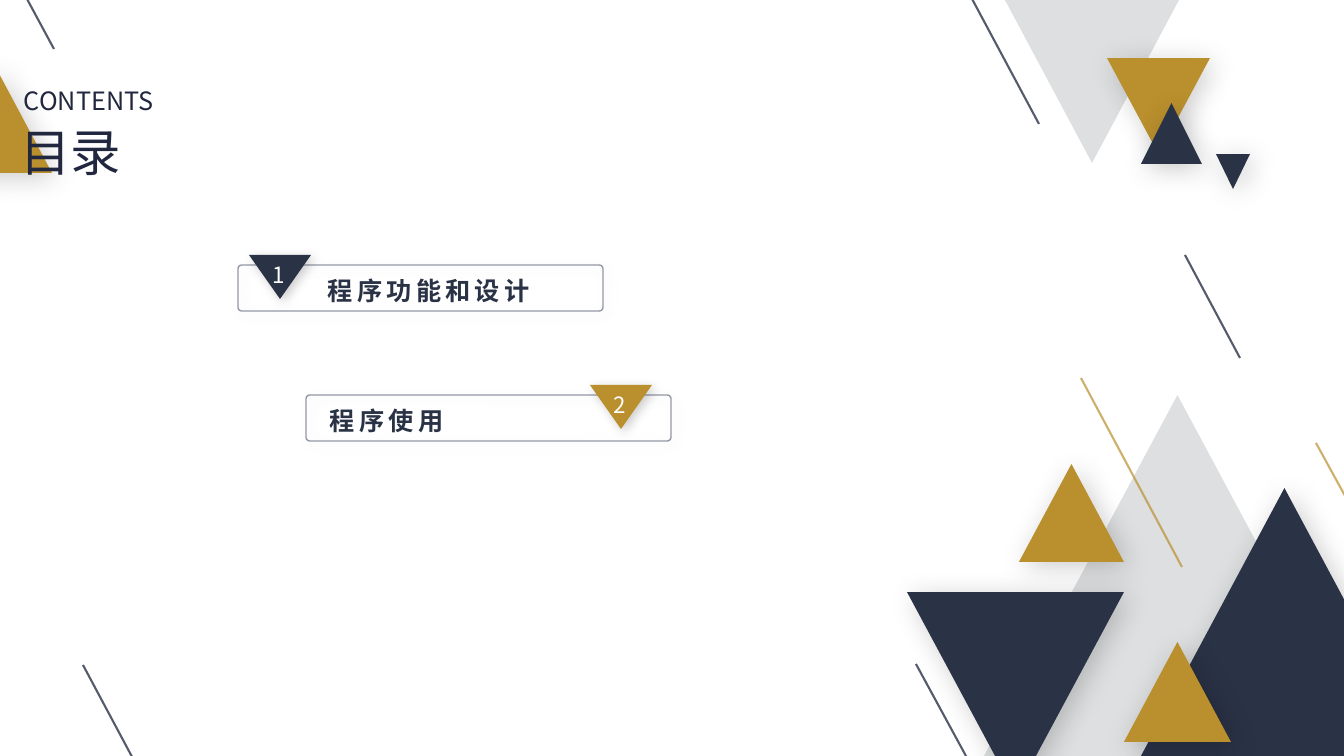
from lxml import etree
from pptx import Presentation
from pptx.dml.color import RGBColor
from pptx.enum.shapes import MSO_CONNECTOR, MSO_SHAPE
from pptx.enum.text import MSO_ANCHOR, MSO_AUTO_SIZE, PP_ALIGN
from pptx.oxml.ns import qn
from pptx.util import Pt

TRIANGLE, ROUNDED = MSO_SHAPE.ISOSCELES_TRIANGLE, MSO_SHAPE.ROUNDED_RECTANGLE
STRAIGHT = MSO_CONNECTOR.STRAIGHT
TOP, NO_RESIZE = MSO_ANCHOR.TOP, MSO_AUTO_SIZE.NONE
LEFT, CENTER, JUSTIFY = PP_ALIGN.LEFT, PP_ALIGN.CENTER, PP_ALIGN.JUSTIFY

SCALE = 914400 / 100.8
FONT = "Noto Sans CJK SC"
NAVY, GOLD, GREY, WHITE = "2A3246", "BA8F2D", "DDDFE0", "FFFFFF"
TITLE_COLOR, FRAME_COLOR = "21273E", "2C344B"
LINE_OPACITY = {NAVY: 80, GOLD: 70}


def emu(*pixels):
    return [round(value * SCALE) for value in pixels]


def color(hex_string):
    return RGBColor.from_string(hex_string)


def add_alpha(color_element, percent):
    etree.SubElement(color_element, qn("a:alpha"), val=str(percent * 1000))


def add_shadow(shape, blur, distance):
    shape.shadow.inherit = False
    effects = shape.element.spPr.find(qn("a:effectLst"))
    shadow = etree.SubElement(
        effects, qn("a:outerShdw"), blurRad=str(Pt(blur)), dist=str(Pt(distance)),
        dir=str(45 * 60000), algn="tl", rotWithShape="0")
    add_alpha(etree.SubElement(shadow, qn("a:srgbClr"), val="000000"), 20)


def style_line(line, hex_string, width, opacity):
    line.color.rgb = color(hex_string)
    line.width = Pt(width)
    add_alpha(line._get_or_add_ln().find(".//" + qn("a:srgbClr")), opacity)


def add_triangle(shapes, left, top, width, height, fill, flipped=False, shadow=(20, 5)):
    triangle = shapes.add_shape(TRIANGLE, *emu(left, top, width, height))
    triangle.rotation = 180 if flipped else 0
    triangle.fill.solid()
    triangle.fill.fore_color.rgb = color(fill)
    triangle.line.fill.background()
    triangle.shadow.inherit = False
    if shadow:
        add_shadow(triangle, *shadow)


def add_slanted_line(shapes, start_x, start_y, end_x, end_y, hex_string):
    line = shapes.add_connector(STRAIGHT, *emu(start_x, start_y, end_x, end_y))
    style_line(line.line, hex_string, 1.5, LINE_OPACITY[hex_string])
    etree.SubElement(line.element.spPr, qn("a:effectLst"))


def write_text(shape, text, size, hex_string, alignment, bold=False, spacing=0, wrap=True):
    frame = shape.text_frame
    frame.text = text
    frame.word_wrap = wrap
    frame.auto_size = NO_RESIZE
    frame.vertical_anchor = TOP
    paragraph = frame.paragraphs[0]
    paragraph.alignment = alignment
    run = paragraph.runs[0]
    run.font.size = Pt(size)
    run.font.name = FONT
    run.font.bold = bold
    run.font.color.rgb = color(hex_string)
    properties = run.font._element
    etree.SubElement(properties, qn("a:ea"), typeface=FONT)
    if spacing:
        properties.set("spc", str(spacing * 100))


def add_decoration(slide, box, triangles, lines):
    """Triangles and slanted lines, placed from the corner of the box."""
    left, top = box
    for x, y, *rest in triangles:
        add_triangle(slide.shapes, left + x, top + y, *rest)
    for start_x, start_y, end_x, end_y, hex_string in lines:
        add_slanted_line(slide.shapes, left + start_x, top + start_y,
                         left + end_x, top + end_y, hex_string)


def add_heading(slide, box):
    left, top = box
    label = slide.shapes.add_textbox(*emu(left + 4, top, 184, 40))
    write_text(label, "CONTENTS", 18, TITLE_COLOR, JUSTIFY)
    title = slide.shapes.title
    title.left, title.top, title.width, title.height = emu(left, top + 36, 138, 72)
    write_text(title, "目录", 36, TITLE_COLOR, JUSTIFY)
    label.element.addnext(title.element)  # keep the title above the gold triangle


def add_entry(slide, box, number, text, text_x, text_width, marker_x, marker_color):
    left, top, width, height = box
    shapes = slide.shapes.add_group_shape().shapes
    # Entry text
    label = shapes.add_textbox(*emu(left + text_x, top + 5, text_width, 40))
    write_text(label, text, 18, NAVY, LEFT, bold=True, spacing=3)
    # Frame
    frame = shapes.add_shape(ROUNDED, *emu(left, top, width, height))
    frame.adjustments[0] = 0.08
    frame.fill.background()
    style_line(frame.line, FRAME_COLOR, 1, 50)
    add_shadow(frame, 10, 3)
    # Numbered marker
    marker_left = left + marker_x
    add_triangle(shapes, marker_left, top - 10, 62, 44, marker_color, True, (8, 3))
    digit = shapes.add_textbox(*emu(marker_left + 13, top - 9, 33, 37))
    write_text(digit, str(number), 16, WHITE, CENTER, wrap=False)


presentation = Presentation()
presentation.slide_width, presentation.slide_height = emu(1344, 756)
slide = presentation.slides.add_slide(presentation.slide_layouts[5])

# Left edge
add_decoration(
    slide, (0, 0),
    [(-60, 68, 112, 105, GOLD)],
    [(83, 665, 138, 768, NAVY), (-1, -53, 54, 49, NAVY)])

# Bottom right corner
add_decoration(
    slide, (900, 370),
    [(84, 25, 387, 361, GREY, False, None),
     (241, 118, 287, 268, NAVY),
     (119, 94, 105, 98, GOLD),
     (224, 272, 107, 100, GOLD),
     (7, 222, 217, 202, NAVY, True)],
    [(181, 8, 282, 197, GOLD), (416, 73, 472, 175, GOLD), (16, 294, 72, 397, NAVY)])

# Top right corner
add_decoration(
    slide, (960, 0),
    [(45, 0, 174, 163, GREY, True, None),
     (147, 58, 103, 96, GOLD, True),
     (181, 103, 61, 61, NAVY),
     (256, 154, 34, 35, NAVY, True)],
    [(10, -5, 79, 124, NAVY), (225, 255, 280, 358, NAVY)])

add_heading(slide, (10, 80))

# Contents entries, each one step further down and to the right
ENTRIES = [("程序功能和设计", 80, 269, 11, NAVY), ("程序使用", 14, 140, 284, GOLD)]
for index, entry in enumerate(ENTRIES):
    add_entry(slide, (238 + 68 * index, 265 + 130 * index, 365, 46), index + 1, *entry)

presentation.save("out.pptx")
